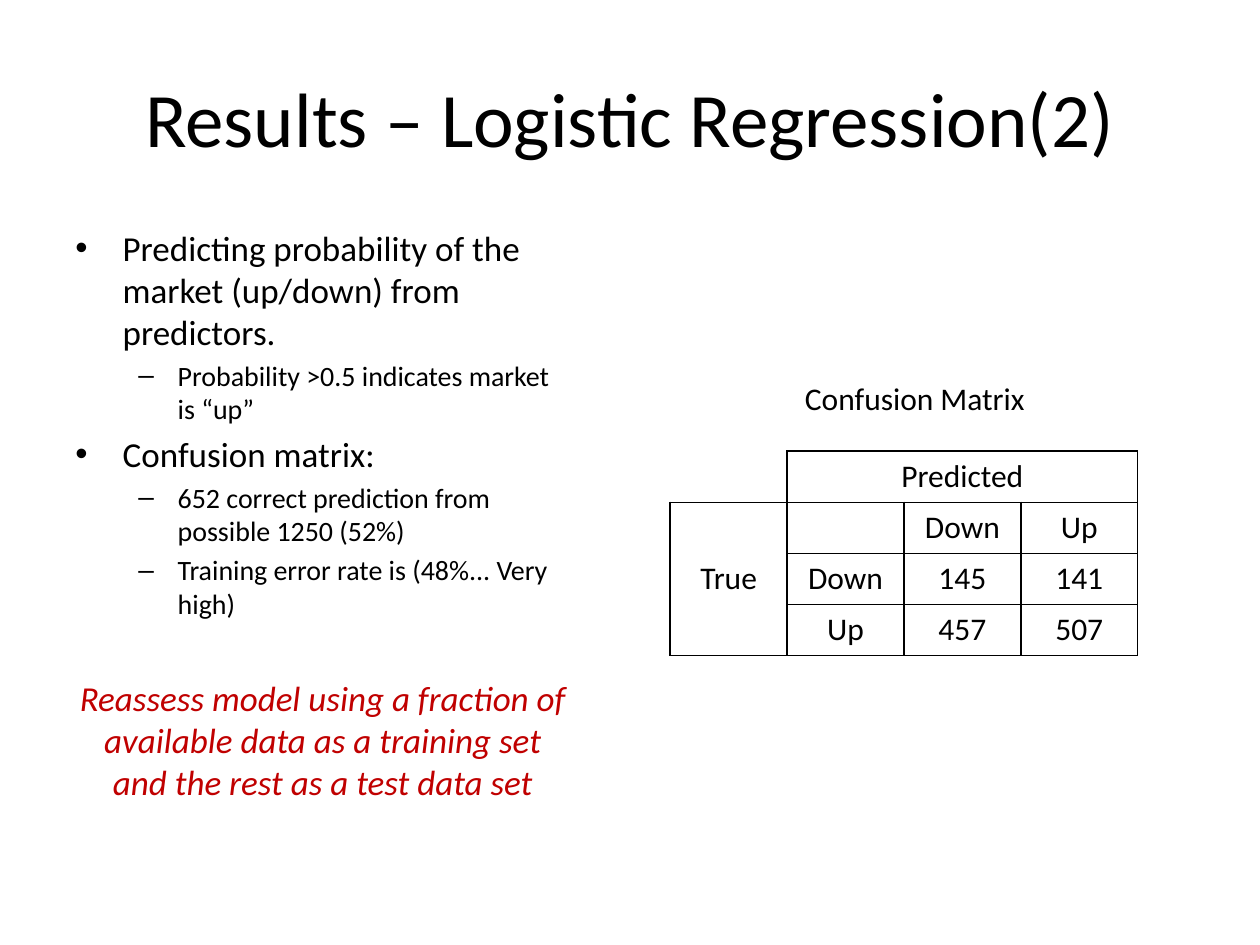
from lxml import etree
from pptx import Presentation
from pptx.dml.color import RGBColor
from pptx.enum.text import MSO_ANCHOR as ANCHOR, MSO_AUTO_SIZE as AUTO_SIZE, PP_ALIGN as ALIGN
from pptx.oxml.ns import qn
from pptx.util import Pt

BLACK = RGBColor(0x00, 0x00, 0x00)
RED = RGBColor(0xC0, 0x00, 0x00)


def style(p, size, color=BLACK, italic=None):
    for r in p.runs:
        r.font.name = "Calibri"
        r.font.size = Pt(size)
        r.font.color.rgb = color
        r.font.italic = italic


def set_borders(cell, sides):
    """Draw 1 pt black lines on the given sides (L, R, T, B) and none on the others."""
    tc_pr = cell._tc.get_or_add_tcPr()
    for i, side in enumerate("LRTB"):
        ln = etree.Element(qn(f"a:ln{side}"), w=str(Pt(1)))
        if side in sides:
            fill = etree.SubElement(ln, qn("a:solidFill"))
            etree.SubElement(fill, qn("a:srgbClr"), val=str(BLACK))
        else:
            etree.SubElement(ln, qn("a:noFill"))
        tc_pr.insert(i, ln)


prs = Presentation()
prs.slide_width, prs.slide_height = Pt(720), Pt(540)
s = prs.slides.add_slide(prs.slide_layouts[5])

# Title
title = s.shapes.title
title.left, title.top, title.width, title.height = Pt(36), Pt(21.6), Pt(648), Pt(90)
tf = title.text_frame
tf.text = "Results – Logistic Regression(2)"
tf.vertical_anchor = ANCHOR.MIDDLE
tf.paragraphs[0].alignment = ALIGN.CENTER
style(tf.paragraphs[0], 44)

# Bulleted findings: level, text
FINDINGS = [
    (0, "Predicting probability of the market (up/down) from predictors."),
    (1, "Probability >0.5 indicates market is “up”"),
    (0, "Confusion matrix:"),
    (1, "652 correct prediction from possible 1250 (52%)"),
    (1, "Training error rate is (48%... Very high)"),
]
# Per level: bullet, size, left margin, hanging indent
LEVELS = [("•", 20, 27, 27), ("–", 16, 58.5, 22.5)]

tf = s.shapes.add_textbox(Pt(36), Pt(126), Pt(297), Pt(356.4)).text_frame
tf.word_wrap = True
for i, (level, text) in enumerate(FINDINGS):
    bullet, size, margin, hang = LEVELS[level]
    p = tf.add_paragraph() if i else tf.paragraphs[0]
    p.text = text
    p.level = level
    p.space_before = Pt(size * 0.2)
    style(p, size)
    p_pr = p._p.get_or_add_pPr()
    p_pr.set("marL", str(Pt(margin)))
    p_pr.set("indent", str(-Pt(hang)))
    etree.SubElement(p_pr, qn("a:buFont"), typeface="Arial")
    etree.SubElement(p_pr, qn("a:buChar"), char=bullet)

# Conclusion
p = tf.add_paragraph()
p.text = ("Reassess model using a fraction of available data "
          "as a training set and the rest as a test data set")
p.alignment = ALIGN.CENTER
p.space_before = Pt(32.4)
style(p, 20, RED, italic=True)

# Confusion matrix
ROWS = [
    ["", "Predicted", "", ""],
    ["True", "", "Down", "Up"],
    ["", "Down", "145", "141"],
    ["", "Up", "457", "507"],
]
table = s.shapes.add_table(4, 4, Pt(383), Pt(257.8), Pt(267.2), Pt(116.8)).table
table.first_row = table.horz_banding = False
for col in table.columns:
    col.width = Pt(66.8)
for row in table.rows:
    row.height = Pt(29.2)
for i, row in enumerate(ROWS):
    for j, text in enumerate(row):
        cell = table.cell(i, j)
        cell.fill.background()
        set_borders(cell, "LRTB" if i or j else "RB")
        cell.vertical_anchor = ANCHOR.MIDDLE
        p = cell.text_frame.paragraphs[0]
        p.text = text
        p.alignment = ALIGN.CENTER
        style(p, 18)
table.cell(0, 1).merge(table.cell(0, 3))
table.cell(1, 0).merge(table.cell(3, 0))

# Table caption
tf = s.shapes.add_textbox(Pt(452.9), Pt(213.1), Pt(141.8), Pt(29.1)).text_frame
tf.word_wrap = False
tf.auto_size = AUTO_SIZE.SHAPE_TO_FIT_TEXT
tf.text = "Confusion Matrix"
style(tf.paragraphs[0], 18)

prs.save("out.pptx")
